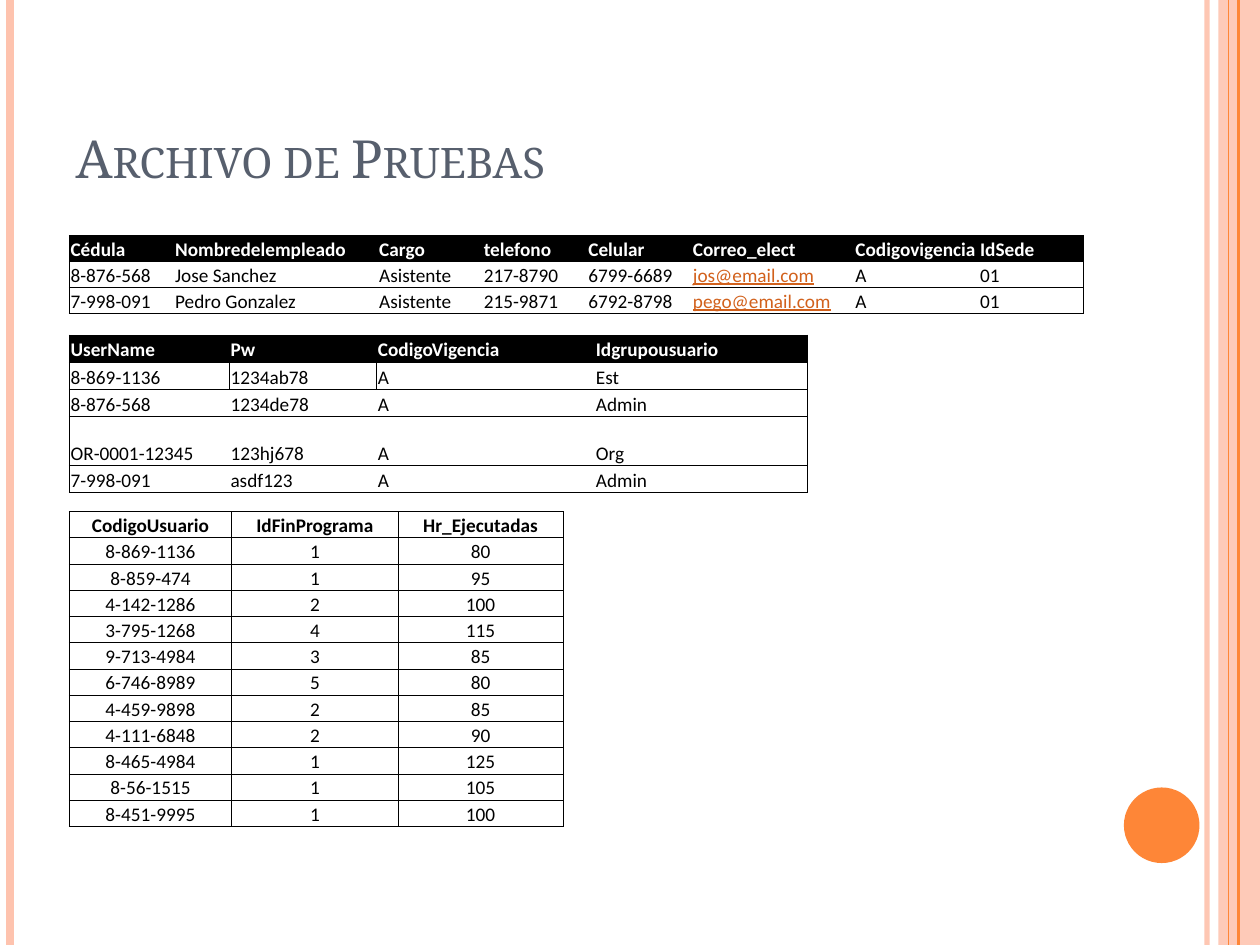
from lxml import etree
from pptx import Presentation
from pptx.dml.color import RGBColor
from pptx.enum.shapes import MSO_CONNECTOR, MSO_SHAPE
from pptx.enum.text import MSO_ANCHOR, PP_ALIGN
from pptx.oxml.ns import qn
from pptx.util import Inches, Pt

STRAIGHT = MSO_CONNECTOR.STRAIGHT
RECTANGLE, OVAL = MSO_SHAPE.RECTANGLE, MSO_SHAPE.OVAL
BOTTOM = MSO_ANCHOR.BOTTOM
LEFT, CENTER = PP_ALIGN.LEFT, PP_ALIGN.CENTER

BLACK, WHITE = "000000", "FFFFFF"
PEACH, ORANGE, LINK, SLATE = "FEC3AE", "FE8637", "D2611C", "575F6D"
NO_GRID_STYLE = "{2D5ABB26-0587-4C30-8999-92F81FD0307C}"


def paint(fill, color, opacity=100):
    """Make a fill solid in a hex colour, with opacity in percent."""
    fill.solid()
    fill.fore_color.rgb = RGBColor.from_string(color)
    if opacity < 100:
        solid = fill._xPr.find(qn("a:solidFill"))
        alpha = etree.SubElement(solid[0], qn("a:alpha"))
        alpha.set("val", str(opacity * 1000))


def add_borders(cell, sides):
    """Draw thin black borders on the given sides (letters L, R, T, B)."""
    properties = cell._tc.get_or_add_tcPr()
    for side in sides:
        border = etree.SubElement(properties, qn("a:ln" + side))
        border.set("w", str(Pt(0.5)))
        solid = etree.SubElement(border, qn("a:solidFill"))
        etree.SubElement(solid, qn("a:srgbClr")).set("val", BLACK)


deck = Presentation()
deck.slide_width, deck.slide_height = Inches(10), Inches(7.5)
page = deck.slides.add_slide(deck.slide_layouts[5])

# Side decoration, back to front: (x, line width, colour, opacity)
stripes = [
    (9.58, 3, PEACH, 93),
    (0.08, 4.5, PEACH, 100),
    (9.83, 1.5, ORANGE, 100),
    (9.75, 0.75, ORANGE, 100),
]
band = page.shapes.add_shape(RECTANGLE, Inches(9.67), 0, Inches(0.33), Inches(7.5))
dot = page.shapes.add_shape(OVAL, Inches(8.92), Inches(6.25), Inches(0.6), Inches(0.6))
for shape, color, opacity in [(band, PEACH, 87), (dot, ORANGE, 100)]:
    shape.shadow.inherit = False
    shape.line.fill.background()
    paint(shape.fill, color, opacity)
for x, width, color, opacity in stripes:
    stripe = page.shapes.add_connector(STRAIGHT, Inches(x), 0, Inches(x), Inches(7.5))
    stripe.line.width = Pt(width)
    paint(stripe.line.fill, color, opacity)
    etree.SubElement(stripe._element.spPr, qn("a:effectLst"))

title = page.shapes.title
title.left, title.top = Inches(0.5), Inches(0.3)
title.width, title.height = Inches(8.17), Inches(1.25)
title.text_frame.text = "Archivo de Pruebas"
title.text_frame.vertical_anchor = BOTTOM
heading = title.text_frame.paragraphs[0]
heading.alignment = LEFT
span = heading.runs[0]
span.font.name, span.font.size = "Noto Serif", Pt(30)
paint(span.font.fill, SLATE)
span._r.get_or_add_rPr().set("cap", "small")

employees = [
    ["Cédula", "Nombredelempleado", "Cargo", "telefono", "Celular",
     "Correo_elect", "Codigovigencia", "IdSede"],
    ["8-876-568", "Jose Sanchez", "Asistente", "217-8790", "6799-6689",
     "jos@email.com", "A", "01"],
    ["7-998-091", "Pedro Gonzalez", "Asistente", "215-9871", "6792-8798",
     "pego@email.com", "A", "01"],
]
hours = [
    ["CodigoUsuario", "IdFinPrograma", "Hr_Ejecutadas"],
    ["8-869-1136", "1", "80"],
    ["8-859-474", "1", "95"],
    ["4-142-1286", "2", "100"],
    ["3-795-1268", "4", "115"],
    ["9-713-4984", "3", "85"],
    ["6-746-8989", "5", "80"],
    ["4-459-9898", "2", "85"],
    ["4-111-6848", "2", "90"],
    ["8-465-4984", "1", "125"],
    ["8-56-1515", "1", "105"],
    ["8-451-9995", "1", "100"],
]
users = [
    ["UserName", "Pw", "CodigoVigencia", "Idgrupousuario"],
    ["8-869-1136", "1234ab78", "A", "Est"],
    ["8-876-568", "1234de78", "A", "Admin"],
    ["OR-0001-12345", "123hj678", "A", "Org"],
    ["7-998-091", "asdf123", "A", "Admin"],
]

# (rows, top, height, column widths, tall rows, full grid, cells with a right border)
tables = [
    (employees, 1.87, 0.62, [0.83, 1.62, 0.83, 0.83, 0.83, 1.29, 0.99, 0.83],
     {}, False, []),
    (hours, 4.06, 2.5, [1.29, 1.32, 1.31], {}, True, []),
    (users, 2.66, 1.25, [1.27, 1.17, 1.73, 1.69], {3: 0.39}, False, [(1, 0)]),
]
for rows, top, height, widths, tall_rows, grid, divided in tables:
    frame = page.shapes.add_table(len(rows), len(widths), Inches(0.55), Inches(top),
                                  Inches(sum(widths)), Inches(height))
    table = frame.table
    table.first_row = table.horz_banding = False
    table._tbl.tblPr.find(qn("a:tableStyleId")).text = NO_GRID_STYLE
    for column, width in zip(table.columns, widths):
        column.width = Inches(width)
    row_height = (height - sum(tall_rows.values())) / (len(rows) - len(tall_rows))
    last = len(widths) - 1
    for r, values in enumerate(rows):
        table.rows[r].height = Inches(tall_rows.get(r, row_height))
        for c, value in enumerate(values):
            cell = table.cell(r, c)
            cell.text_frame.text = value
            cell.vertical_anchor = BOTTOM
            cell.margin_left = cell.margin_right = cell.margin_top = Inches(0.01)
            cell.margin_bottom = 0
            left = "L" if grid or c == 0 or (r, c - 1) in divided else ""
            right = "R" if grid or c == last or (r, c) in divided else ""
            add_borders(cell, left + right + "TB")
            dark = r == 0 and not grid
            if dark:
                paint(cell.fill, BLACK)
            else:
                cell.fill.background()
            para = cell.text_frame.paragraphs[0]
            para.alignment = CENTER if grid else LEFT
            font = para.runs[0].font
            font.name, font.size, font.bold = "Calibri", Pt(11), r == 0
            is_mail = "@" in value
            font.underline = is_mail
            paint(font.fill, WHITE if dark else LINK if is_mail else BLACK)

deck.save("out.pptx")
